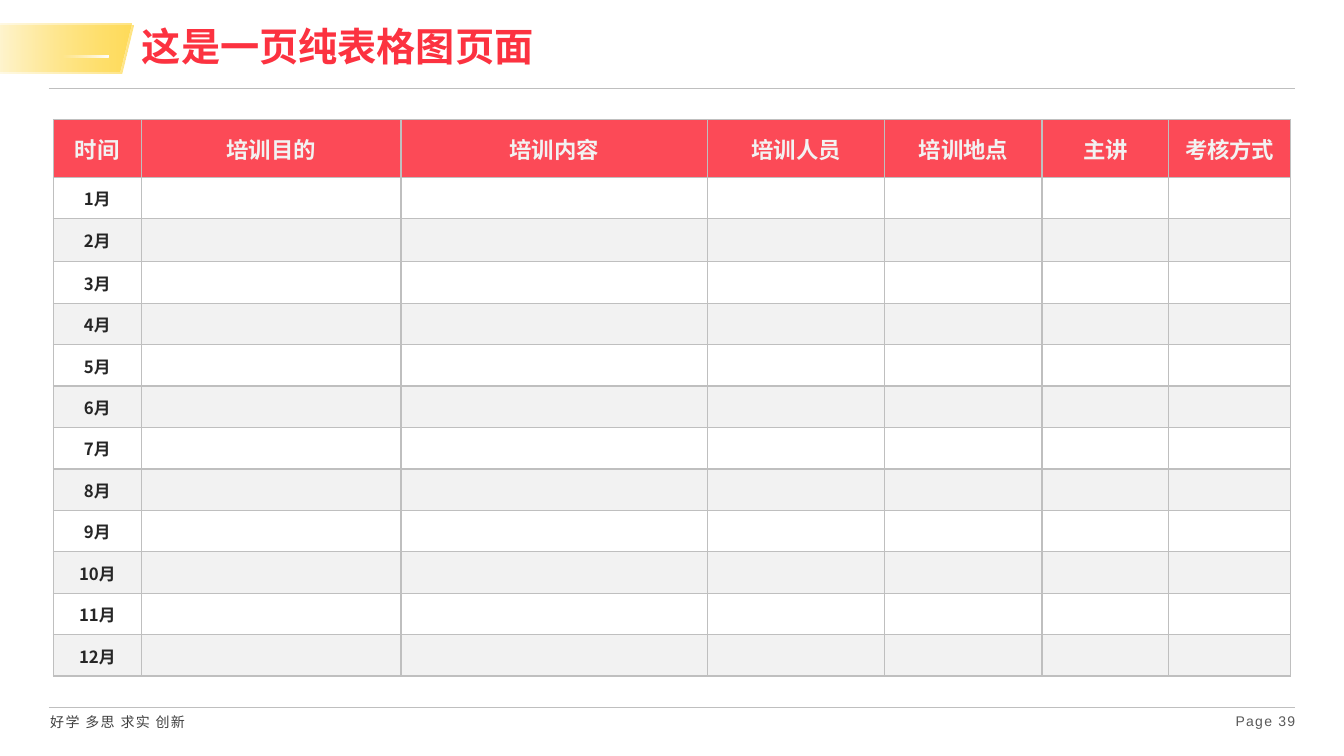
"""Build a slide with a monthly training plan table."""
from lxml import etree
from pptx import Presentation
from pptx import util as u
from pptx.dml import color
from pptx.enum import shapes, text
from pptx.oxml import ns

Pt = u.Pt
CJK = "Noto Sans CJK SC"
GREY = "BFBFBF"


def rgb(value):
    return color.RGBColor.from_string(value)


def style(para, size, shade, font=CJK, bold=False, spacing=0):
    for span in para.runs:
        span.font.size = Pt(size)
        span.font.bold = bold
        span.font.name = font
        span.font.color.rgb = rgb(shade)
        props = span.font._element
        etree.SubElement(props, ns.qn("a:ea"), typeface=CJK)
        if spacing:
            props.set("spc", str(spacing))


deck = Presentation()
deck.slide_width, deck.slide_height = Pt(960), Pt(540)
page = deck.slides.add_slide(deck.slide_layouts[6])

for y in (63.4, 505.4):
    rule = page.shapes.add_connector(shapes.MSO_CONNECTOR.STRAIGHT, Pt(34.9), Pt(y), Pt(925), Pt(y))
    rule.line.color.rgb = rgb(GREY)
    rule.line.width = Pt(0.5)
    etree.SubElement(rule._element.spPr, ns.qn("a:effectLst"))

ribbons = [
    (-24.5, 18, 120.2, 34.6, "FFD847", 68),
    (-25.9, 16.6, 120.2, 34.6, "FFD847", 68),
    (44.6, 39.6, 33.1, 1.6, "FFFFFF", 100),
]
for left, top, width, height, shade, opacity in ribbons:
    ribbon = page.shapes.add_shape(
        shapes.MSO_SHAPE.PARALLELOGRAM, Pt(left), Pt(top), Pt(width), Pt(height))
    ribbon.shadow.inherit = False
    ribbon.line.fill.background()
    ribbon.fill.gradient()
    ribbon.fill.gradient_angle = 0
    for stop, alpha in zip(ribbon.fill.gradient_stops, (0, opacity)):
        stop.color.rgb = rgb(shade)
    for tint, alpha in zip(ribbon._element.spPr.iter(ns.qn("a:srgbClr")), (0, opacity)):
        etree.SubElement(tint, ns.qn("a:alpha"), val=str(alpha * 1000))

LEFT, RIGHT, JUSTIFY = text.PP_ALIGN.LEFT, text.PP_ALIGN.RIGHT, text.PP_ALIGN.JUSTIFY
TOP, MIDDLE = text.MSO_ANCHOR.TOP, text.MSO_ANCHOR.MIDDLE
captions = [
    ("这是一页纯表格图页面", (94.3, 17.3, 647.3, 34.6), LEFT, MIDDLE, 7.2, 0.9,
     (28, "FC3240", CJK, True)),
    ("好学 多思 求实 创新", (28.8, 506.2, 154.8, 19.4), JUSTIFY, TOP, 7.2, 1,
     (10, "404040", "Arial", False, 100)),
    ("Page 39", (853.2, 505.4, 72, 23), RIGHT, TOP, 0, 1,
     (10, "595959", "Arial", False, 90)),
]
for words, place, align, anchor, inset, leading, look in captions:
    box = page.shapes.add_textbox(*map(Pt, place))
    frame = box.text_frame
    frame.word_wrap = True
    frame.vertical_anchor = anchor
    frame.margin_right = Pt(inset)
    frame.text = words
    para = frame.paragraphs[0]
    para.alignment = align
    para.line_spacing = leading
    style(para, *look)

headings = ["时间", "培训目的", "培训内容", "培训人员", "培训地点", "主讲", "考核方式"]
widths = [62.6, 185.7, 218.9, 126.7, 112.2, 90.6, 87]
heights = [41, 29.6, 30.8] + [29.6] * 10
plan = page.shapes.add_table(
    len(heights), len(widths), Pt(38.2), Pt(85.6), Pt(sum(widths)), Pt(sum(heights))).table
plan.first_row = plan.horz_banding = False
for column, width in zip(plan.columns, widths):
    column.width = Pt(width)

for index, (row, height) in enumerate(zip(plan.rows, heights)):
    row.height = Pt(height)
    entries = headings if index == 0 else [f"{index}月"] + [""] * (len(headings) - 1)
    for cell, entry in zip(row.cells, entries):
        cell.vertical_anchor = MIDDLE
        cell.margin_left = cell.margin_right = cell.margin_top = Pt(0.7)
        cell.margin_bottom = 0
        props = cell._tc.get_or_add_tcPr()
        for side in ("lnL", "lnR", "lnT", "lnB"):
            edge = etree.SubElement(props, ns.qn(f"a:{side}"), w=str(Pt(1)))
            paint = etree.SubElement(edge, ns.qn("a:solidFill"))
            etree.SubElement(paint, ns.qn("a:srgbClr"), val=GREY)
        if index == 0:
            cell.fill.solid()
            cell.fill.fore_color.rgb = rgb("FC3240")
            tint = props.find(ns.qn("a:solidFill"))[0]
            etree.SubElement(tint, ns.qn("a:alpha"), val="88000")
        elif index % 2 == 0:
            cell.fill.solid()
            cell.fill.fore_color.rgb = rgb("F2F2F2")
        else:
            cell.fill.background()
        if entry:
            cell.text_frame.text = entry
            para = cell.text_frame.paragraphs[0]
            para.alignment = text.PP_ALIGN.CENTER
            size, shade = (16, "F2F2F2") if index == 0 else (12, "262626")
            style(para, size, shade, bold=True)

deck.save("out.pptx")
